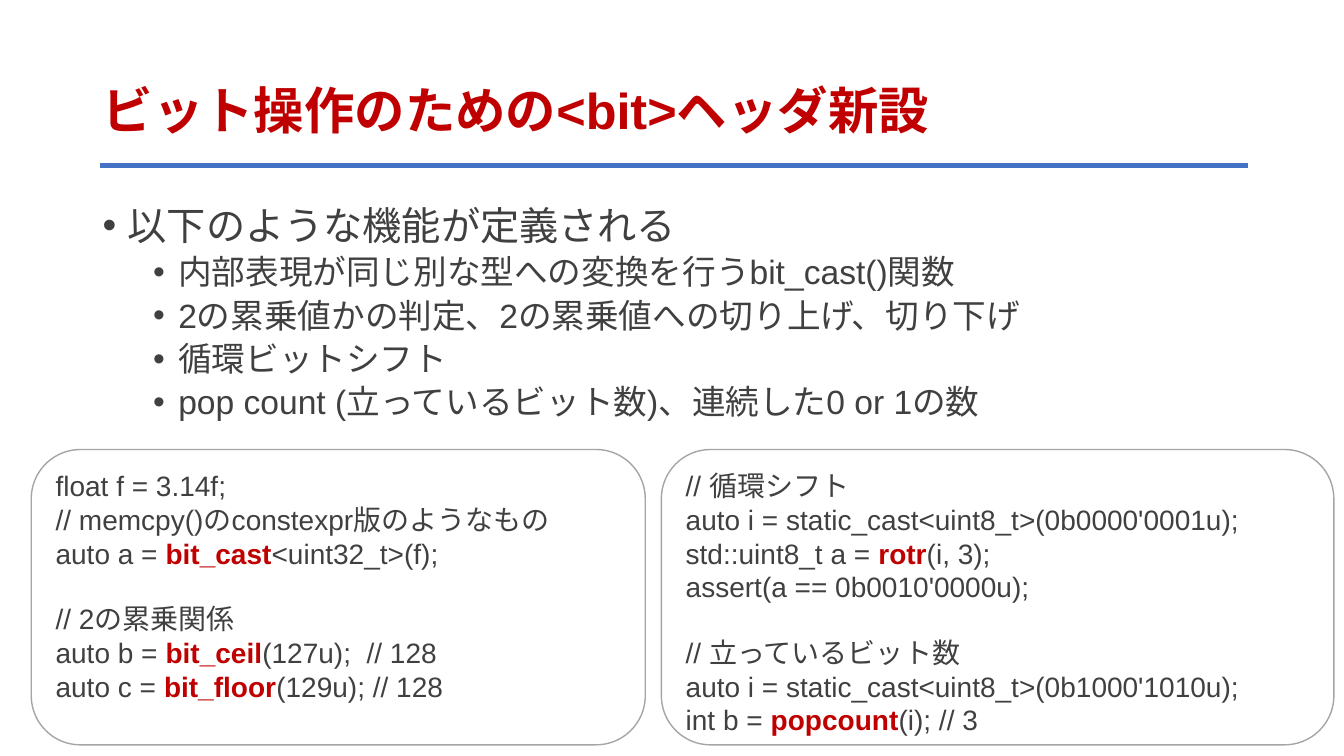
from lxml.etree import SubElement
from pptx import Presentation
from pptx.dml.color import RGBColor
from pptx.enum.lang import MSO_LANGUAGE_ID
from pptx.enum.shapes import MSO_CONNECTOR, MSO_SHAPE
from pptx.enum.text import MSO_ANCHOR, PP_ALIGN
from pptx.oxml.ns import qn
from pptx.util import Inches, Pt

RED, GRAY = "C00000", "404040"


def color(hex_value):
    return RGBColor.from_string(hex_value)


def write_line(paragraph, text, size, paragraph_format):
    """Write one line; parts between ** marks are bold and red."""
    for name, value in paragraph_format.items():
        setattr(paragraph, name, value)
    for index, part in enumerate(text.split("**")):
        if not part:
            continue
        strong = index % 2 == 1
        run = paragraph.add_run()
        run.text = part
        font_format = {"name": "Arial", "size": Pt(size), "bold": strong,
                       "language_id": MSO_LANGUAGE_ID.JAPANESE}
        for name, value in font_format.items():
            setattr(run.font, name, value)
        run.font.color.rgb = color(RED if strong else GRAY)


deck = Presentation()
deck.slide_width, deck.slide_height = Inches(13.33), Inches(7.5)
slide = deck.slides.add_slide(deck.slide_layouts[6])

# Heading
heading = slide.shapes.add_textbox(Inches(0.92), Inches(0.4), Inches(11.5), Inches(1.45)).text_frame
heading.word_wrap = True
heading.vertical_anchor = MSO_ANCHOR.MIDDLE
write_line(heading.paragraphs[0], "**ビット操作のための<bit>ヘッダ新設**", 36, {"line_spacing": 0.9})

# Feature list: level, text
features = [
    (0, "以下のような機能が定義される"),
    (1, "内部表現が同じ別な型への変換を行うbit_cast()関数"),
    (1, "2の累乗値かの判定、2の累乗値への切り上げ、切り下げ"),
    (1, "循環ビットシフト"),
    (1, "pop count (立っているビット数)、連続した0 or 1の数"),
]
feature_list = slide.shapes.add_textbox(Inches(0.92), Inches(2), Inches(11.5), Inches(2.47)).text_frame
feature_list.word_wrap = True
for index, (level, feature) in enumerate(features):
    paragraph = feature_list.add_paragraph() if index else feature_list.paragraphs[0]
    write_line(paragraph, feature, 28 - 4 * level,
               {"level": level, "line_spacing": 0.9, "space_before": Pt(10 - 5 * level)})
    properties = paragraph._p.get_or_add_pPr()
    properties.set("marL", str(Inches(0.25 + 0.5 * level)))
    properties.set("indent", str(Inches(-0.25)))
    SubElement(properties, qn("a:buFont")).set("typeface", "Arial")
    SubElement(properties, qn("a:buChar")).set("char", "•")

# Code samples: left, width, groups of lines
samples = [
    (0.31, 6.09, [
        ["float f = 3.14f;",
         "// memcpy()のconstexpr版のようなもの",
         "auto a = **bit_cast**<uint32_t>(f);"],
        ["// 2の累乗関係",
         "auto b = **bit_ceil**(127u);  // 128",
         "auto c = **bit_floor**(129u); // 128"],
    ]),
    (6.56, 6.67, [
        ["// 循環シフト",
         "auto i = static_cast<uint8_t>(0b0000'0001u);",
         "std::uint8_t a = **rotr**(i, 3);",
         "assert(a == 0b0010'0000u);"],
        ["// 立っているビット数",
         "auto i = static_cast<uint8_t>(0b1000'1010u);",
         "int b = **popcount**(i); // 3"],
    ]),
]
for left, width, groups in samples:
    sample = slide.shapes.add_shape(MSO_SHAPE.ROUNDED_RECTANGLE, Inches(left), Inches(4.46),
                                    Inches(width), Inches(2.93))
    sample.shadow.inherit = False
    sample.fill.solid()
    sample.fill.fore_color.rgb = color("FFFFFF")
    sample.line.color.rgb = color("A5A5A5")
    sample.line.width = Pt(1)
    code = sample.text_frame
    code.word_wrap = True
    code.vertical_anchor = MSO_ANCHOR.TOP
    for group_index, group in enumerate(groups):
        for line_index, code_line in enumerate(group):
            first = group_index == line_index == 0
            paragraph = code.paragraphs[0] if first else code.add_paragraph()
            # One line of space opens the second group
            gap = Pt(23) if group_index and line_index == 0 else Pt(0)
            write_line(paragraph, code_line, 20, {"alignment": PP_ALIGN.LEFT, "space_before": gap})

# Rule under the heading
rule = slide.shapes.add_connector(MSO_CONNECTOR.STRAIGHT, Inches(0.99), Inches(1.64),
                                  Inches(12.38), Inches(1.64))
rule.line.color.rgb = color("4472C4")
rule.line.width = Pt(3.75)
SubElement(rule._element.spPr, qn("a:effectLst"))

deck.save("out.pptx")
